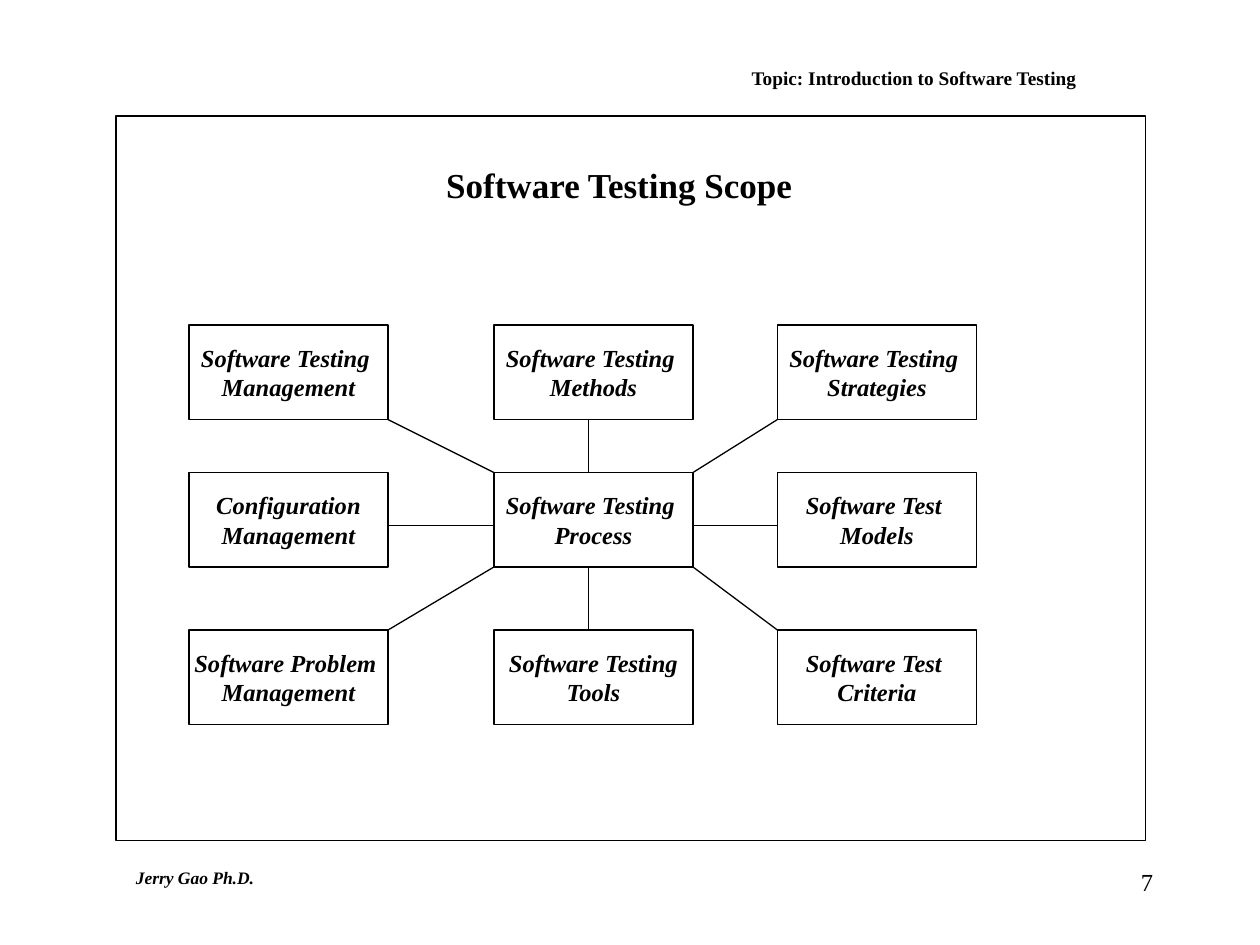
import dataclasses

import lxml.etree
import pptx
import pptx.dml.color
import pptx.enum.shapes
import pptx.enum.text
import pptx.oxml.ns
import pptx.util

Inches = pptx.util.Inches
Align = pptx.enum.text.PP_ALIGN
Anchor = pptx.enum.text.MSO_ANCHOR


@dataclasses.dataclass(frozen=True)
class Theme:
    """Colours, font and type sizes of the slide."""
    ink: str = "000000"
    paper: str = "FFFFFF"
    font: str = "Times New Roman"
    title: int = 20
    body: int = 14
    topic: int = 11
    footer: int = 10
    line: float = 0.75


class Page:
    """Draws styled elements on one slide."""

    def __init__(self, slide, theme):
        """Keep the slide and its style."""
        self.slide = slide
        self.theme = theme

    def color(self, value):
        """Turn a hex value into a colour."""
        return pptx.dml.color.RGBColor.from_string(value)

    def outline(self, line):
        """Give a line the common colour and width."""
        line.color.rgb = self.color(self.theme.ink)
        line.width = pptx.util.Pt(self.theme.line)

    def add_lines(self, frame, lines, size, align, bold=True, italic=False):
        """Set each line as a paragraph with one run."""
        for index, words in enumerate(lines):
            paragraph = frame.add_paragraph() if index else frame.paragraphs[0]
            paragraph.alignment = align
            run = paragraph.add_run()
            run.text = words
            run.font.name = self.theme.font
            run.font.size = pptx.util.Pt(size)
            run.font.bold = bold
            run.font.italic = italic
            run.font.color.rgb = self.color(self.theme.ink)

    def text(self, at, words, size, align, anchor=Anchor.TOP, **style):
        """Add a wrapping text box."""
        frame = self.slide.shapes.add_textbox(*map(Inches, at)).text_frame
        frame.word_wrap = True
        frame.vertical_anchor = anchor
        self.add_lines(frame, [words], size, align, **style)

    def box(self, at, lines=()):
        """Add an outlined rectangle, filled when it holds text."""
        rect = self.slide.shapes.add_shape(
            pptx.enum.shapes.MSO_SHAPE.RECTANGLE, *map(Inches, at))
        rect.shadow.inherit = False
        self.outline(rect.line)
        if not lines:
            rect.fill.background()
            return
        rect.fill.solid()
        rect.fill.fore_color.rgb = self.color(self.theme.paper)
        rect.text_frame.word_wrap = False
        rect.text_frame.vertical_anchor = Anchor.MIDDLE
        self.add_lines(rect.text_frame, lines, self.theme.body, Align.CENTER, italic=True)

    def link(self, start, end):
        """Add a straight line between two points."""
        line = self.slide.shapes.add_connector(
            pptx.enum.shapes.MSO_CONNECTOR.STRAIGHT, *map(Inches, start + end))
        self.outline(line.line)
        lxml.etree.SubElement(line._element.spPr, pptx.oxml.ns.qn("a:effectLst"))


COLUMNS = (1.5, 3.92, 6.17)
ROWS = (2.58, 3.75, 5)
BOX_WIDTH, BOX_HEIGHT = 1.58, 0.75
SPOKE_X, SPOKE_Y = 4.67, 4.17
SCOPE = (
    (("Software Testing ", "Management"), ("Software Testing ", "Methods"),
     ("Software Testing ", "Strategies")),
    (("Configuration", "Management"), ("Software Testing ", "Process"),
     ("Software Test ", "Models")),
    (("Software Problem ", "Management"), ("Software Testing", "Tools"),
     ("Software Test ", "Criteria")),
)


def spoke(starts, size, middle, index):
    """Return the outer and hub coordinates of a link along one axis."""
    return (
        (starts[0] + size, starts[1]),
        (middle, middle),
        (starts[2], starts[1] + size),
    )[index]


def draw_scope(page):
    """Draw the grid of topics and link each one to the central process."""
    for row, topics in enumerate(SCOPE):
        for column, lines in enumerate(topics):
            page.box((COLUMNS[column], ROWS[row], BOX_WIDTH, BOX_HEIGHT), lines)
            if (row, column) != (1, 1):
                outer_x, hub_x = spoke(COLUMNS, BOX_WIDTH, SPOKE_X, column)
                outer_y, hub_y = spoke(ROWS, BOX_HEIGHT, SPOKE_Y, row)
                if row == 1:
                    hub_x = COLUMNS[1] + (BOX_WIDTH if column == 2 else 0)
                page.link((outer_x, outer_y), (hub_x, hub_y))


def main():
    """Build and save the slide."""
    deck = pptx.Presentation()
    deck.slide_width, deck.slide_height = Inches(10), Inches(7.5)
    theme = Theme()
    page = Page(deck.slides.add_slide(deck.slide_layouts[6]), theme)
    page.text((7.17, 6.83, 2.08, 0.5), "7", theme.body, Align.RIGHT, bold=False)
    page.text((0.98, 6.83, 1.21, 0.27), "Jerry Gao Ph.D.", theme.footer,
              Align.LEFT, italic=True)
    page.text((1.58, 1.25, 6.67, 0.43), "Software Testing Scope", theme.title,
              Align.CENTER)
    page.box((0.92, 0.92, 8.17, 5.75))
    draw_scope(page)
    page.text((5.42, 0.49, 3.67, 0.25), "Topic: Introduction to Software Testing",
              theme.topic, Align.CENTER, Anchor.MIDDLE)
    deck.save("out.pptx")


main()
